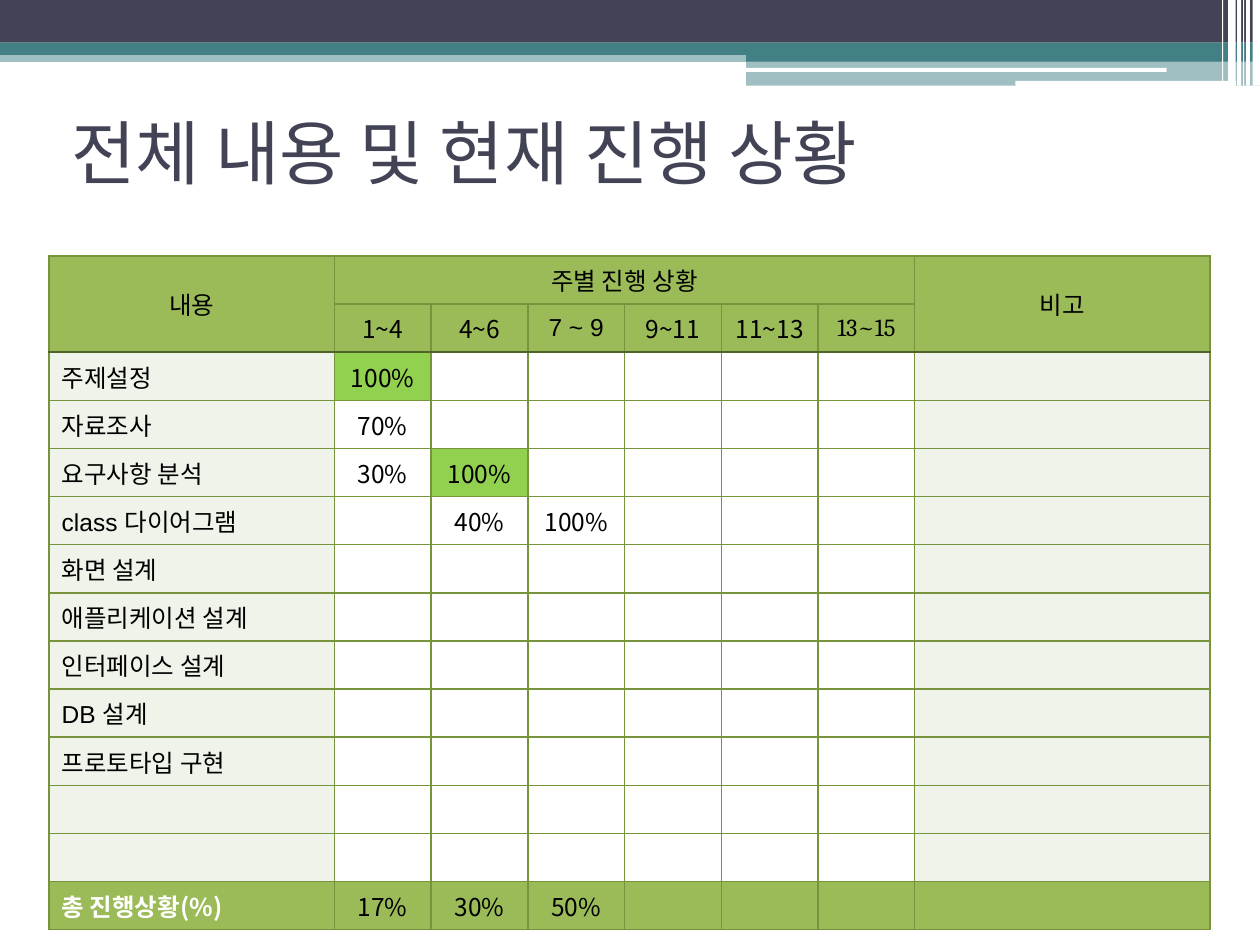
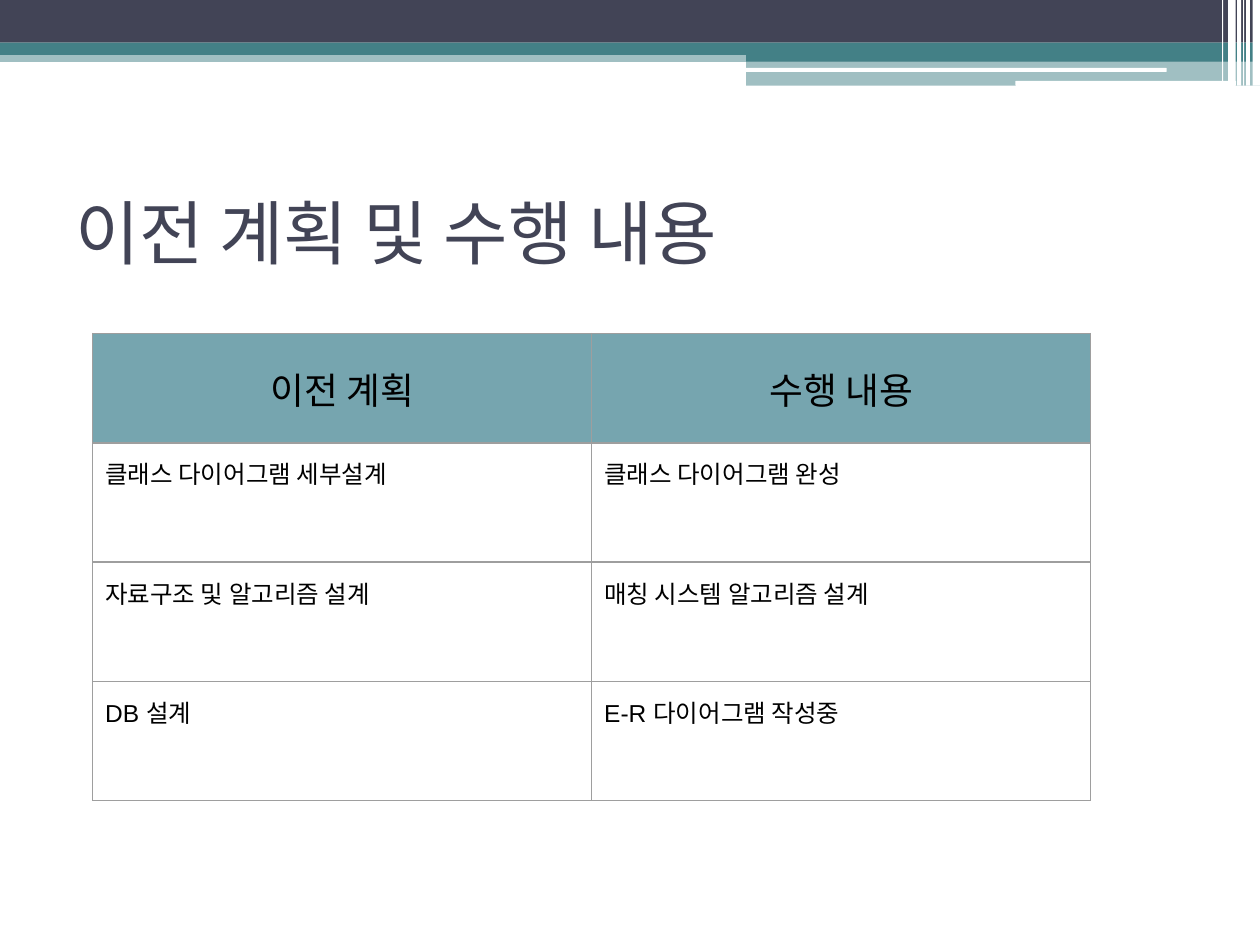
from lxml import etree
from pptx import Presentation
from pptx.dml.color import RGBColor
from pptx.enum import shapes, text
from pptx.oxml import ns
from pptx.util import Cm, Pt

NAVY, TEAL, WHITE, BLACK = "424456", "438086", "FFFFFF", "000000"
GREEN, PALE, DONE = "9BBB59", "EFF3EA", "92D050"
GRID, HEADER_RULE = "77933C", "4F6228"
HEADING_BLUE, GREY = "76A5AF", "9E9E9E"
TITLE_FONT, KOREAN, LATIN, SERIF = "Roboto", "Noto Sans CJK KR", "Arial", "Cambria"
CENTER, MIDDLE = text.PP_ALIGN.CENTER, text.MSO_ANCHOR.MIDDLE
EDGES = ("lnL", "lnR", "lnT", "lnB")

WEEKS = ["1~4", "4~6", "7 ~ 9", "9~11", "11~13", "13~15"]
WEEK_FONTS = {"7 ~ 9": LATIN, "13~15": SERIF}
TASKS = [
    ("주제설정", ["100%"]),
    ("자료조사", ["70%"]),
    ("요구사항 분석", ["30%", "100%"]),
    ("class 다이어그램", ["", "40%", "100%"]),
    ("화면 설계", []),
    ("애플리케이션 설계", []),
    ("인터페이스 설계", []),
    ("DB 설계", []),
    ("프로토타입 구현", []),
    ("", []),
    ("", []),
]
TOTALS = ["17%", "30%", "50%"]
COMPLETED = {(2, 1), (4, 2)}
PLANS = [
    ("클래스 다이어그램 세부설계", "클래스 다이어그램 완성"),
    ("자료구조 및 알고리즘 설계", "매칭 시스템 알고리즘 설계"),
    ("DB 설계", "E-R 다이어그램 작성중"),
]


def color(value):
    return RGBColor.from_string(value)


def write(frame, words, size=14, font=KOREAN, fill=BLACK, bold=False, align=None):
    paragraph = frame.paragraphs[0]
    paragraph.alignment = align
    if not words:
        paragraph._p.get_or_add_endParaRPr().set("sz", str(size * 100))
        return
    run = paragraph.add_run()
    run.text = words
    run.font.size, run.font.name, run.font.bold = Pt(size), font, bold
    run.font.color.rgb = color(fill)
    east_asian = etree.SubElement(run._r.get_or_add_rPr(), ns.qn("a:ea"))
    east_asian.set("typeface", KOREAN)


def add_band(slide, left, top, width, height, fill, kind=shapes.MSO_SHAPE.RECTANGLE, opacity=100):
    band = slide.shapes.add_shape(kind, Cm(left), Cm(top), Cm(width), Cm(height))
    band.shadow.inherit = False
    band.line.fill.background()
    band.fill.solid()
    band.fill.fore_color.rgb = color(fill)
    if opacity < 100:
        tint = band._element.spPr.find(".//" + ns.qn("a:srgbClr"))
        etree.SubElement(tint, ns.qn("a:alpha")).set("val", str(opacity * 1000))


def add_header(slide, left, top, width):
    right = left + width
    wing = right - 10.36
    add_band(slide, left, top + 1.02, width, 0.23, TEAL, opacity=50)
    add_band(slide, left, top, width, 0.86, NAVY)
    add_band(slide, left, top + 0.86, width, 0.25, TEAL)
    add_band(slide, wing, top + 0.99, 10.36, 0.25, TEAL)
    add_band(slide, wing, top + 1.23, 10.36, 0.5, TEAL, opacity=50)
    rounded = shapes.MSO_SHAPE.ROUNDED_RECTANGLE
    add_band(slide, wing - 0.03, top + 1.37, 8.51, 0.08, WHITE, kind=rounded)
    add_band(slide, wing + 5.43, top + 1.63, 4.45, 0.1, WHITE, kind=rounded)
    for offset, stripe, height in [
        (0.15, 0.15, 1.73), (0.28, 0.08, 1.73), (0.34, 0.02, 1.73),
        (0.46, 0.08, 1.73), (0.64, 0.15, 1.63), (0.76, 0.02, 1.63),
    ]:
        add_band(slide, right - offset, top, stripe, height, WHITE)


def add_title(slide, words, left, top, width=22.86, height=2.97):
    frame = slide.shapes.add_textbox(Cm(left), Cm(top), Cm(width), Cm(height)).text_frame
    frame.word_wrap = True
    frame.vertical_anchor = MIDDLE
    write(frame, words, size=40, font=TITLE_FONT, fill=NAVY)


def add_grid(slide, left, top, widths, heights):
    grid = slide.shapes.add_table(
        len(heights), len(widths), Cm(left), Cm(top), Cm(sum(widths)), Cm(sum(heights))).table
    grid.first_row = grid.horz_banding = False
    for column, width in zip(grid.columns, widths):
        column.width = Cm(width)
    for row, height in zip(grid.rows, heights):
        row.height = Cm(height)
    return grid


def style_cell(cell, fill, rules, weight):
    cell.fill.solid()
    cell.fill.fore_color.rgb = color(fill)
    properties = cell._tc.get_or_add_tcPr()
    for position, (edge, rule) in enumerate(zip(EDGES, rules)):
        line = etree.Element(ns.qn("a:" + edge), w=str(Pt(weight)))
        solid = etree.SubElement(line, ns.qn("a:solidFill"))
        etree.SubElement(solid, ns.qn("a:srgbClr")).set("val", rule)
        properties.insert(position, line)


def progress_fill(row, column, total_row):
    if row < 2 or row == total_row:
        return GREEN
    if column in (0, len(WEEKS) + 1):
        return PALE
    return DONE if (row, column) in COMPLETED else WHITE


def add_progress(slide, left, top):
    blanks = [""] * len(WEEKS)
    rows = [["내용", "주별 진행 상황", *blanks[1:], "비고"], ["", *WEEKS, ""]]
    for task, rates in [*TASKS, ("총 진행상황(%)", TOTALS)]:
        rows.append([task, *(rates + blanks)[:len(WEEKS)], ""])
    total_row, notes = len(rows) - 1, len(WEEKS) + 1
    grid = add_grid(slide, left, top, [5.75] + [1.95] * len(WEEKS) + [5.95], [0.97] * len(rows))
    for r, row in enumerate(rows):
        for c, words in enumerate(row):
            cell = grid.cell(r, c)
            upper = HEADER_RULE if r == 2 else GRID
            lower = HEADER_RULE if r == 1 or (r == 0 and c in (0, notes)) else GRID
            style_cell(cell, progress_fill(r, c, total_row), (GRID, GRID, upper, lower), 1)
            cell.vertical_anchor = MIDDLE
            is_total = r == total_row and c == 0
            font = LATIN if words.isascii() is False and words[0].isascii() else KOREAN
            write(cell.text_frame, words, font=WEEK_FONTS.get(words, font),
                  fill=WHITE if is_total else BLACK, bold=is_total,
                  align=CENTER if r < 2 or c else None)
    for column in (0, notes):
        grid.cell(0, column).merge(grid.cell(1, column))
    grid.cell(0, 1).merge(grid.cell(0, len(WEEKS)))


def add_plans(slide, left, top):
    rows = [("이전 계획", "수행 내용"), *PLANS]
    grid = add_grid(slide, left, top, [10.06] * 2, [2.21] + [2.4] * len(PLANS))
    for r, row in enumerate(rows):
        heading = r == 0
        for c, words in enumerate(row):
            cell = grid.cell(r, c)
            style_cell(cell, HEADING_BLUE if heading else WHITE, [GREY] * 4, 0.75)
            cell.margin_left = cell.margin_right = cell.margin_top = cell.margin_bottom = Cm(0.25)
            cell.vertical_anchor = MIDDLE if heading else text.MSO_ANCHOR.TOP
            write(cell.text_frame, words, size=21 if heading else 14, font=LATIN,
                  align=CENTER if heading else None)


def main():
    deck = Presentation()
    deck.slide_width, deck.slide_height = Cm(25.4), Cm(19.05)
    for title, title_at, add_content, content_at in [
        ("전체 내용 및 현재 진행 상황", (1.19, 1.57), add_progress, (0.99, 5.16)),
        ("이전 계획 및 수행 내용", (1.27, 3.18), add_plans, (1.87, 6.72)),
    ]:
        slide = deck.slides.add_slide(deck.slide_layouts[6])
        add_header(slide, 0, 0, 25.4)
        add_title(slide, title, *title_at)
        add_content(slide, *content_at)
    deck.save("out.pptx")


if __name__ == "__main__":
    main()
